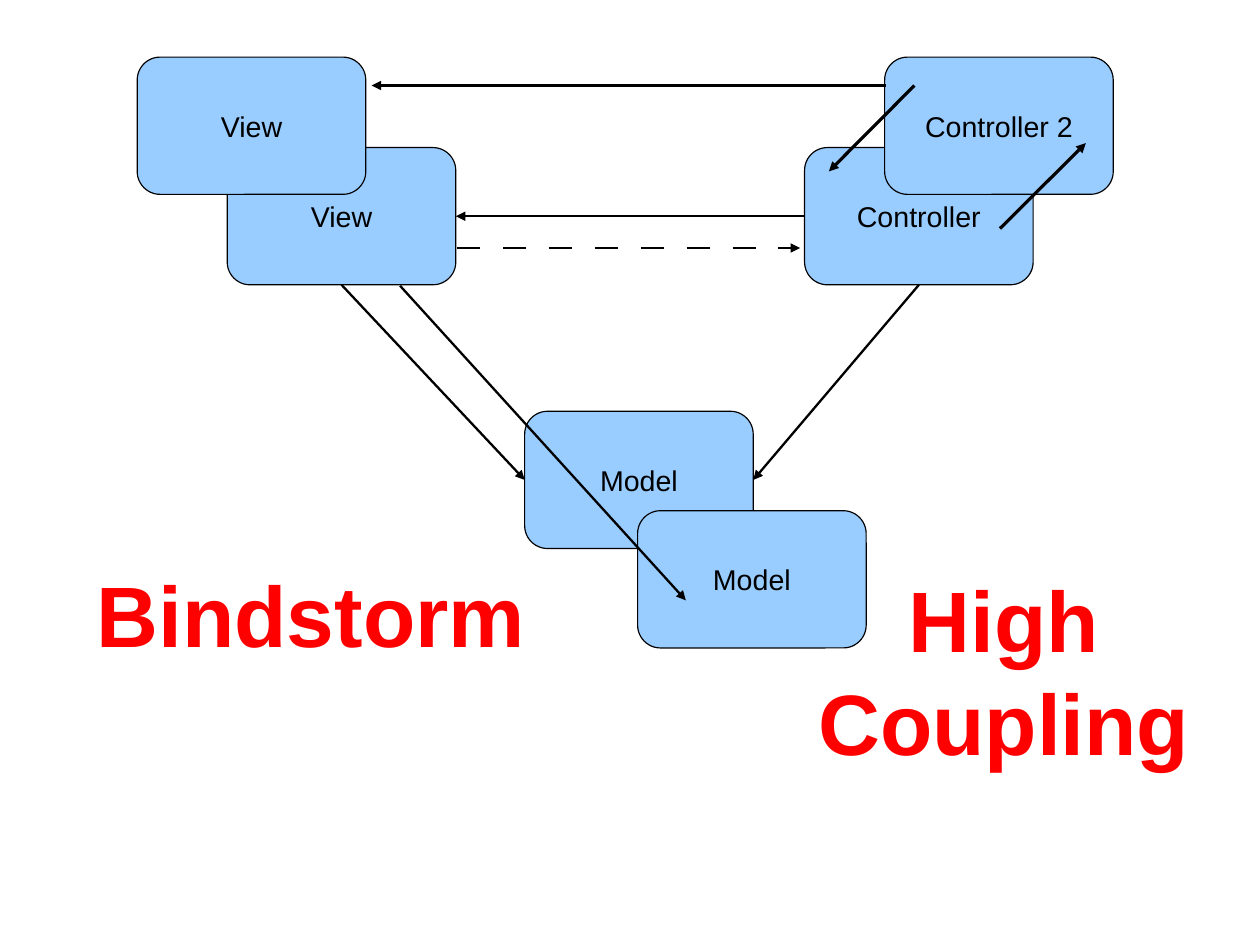
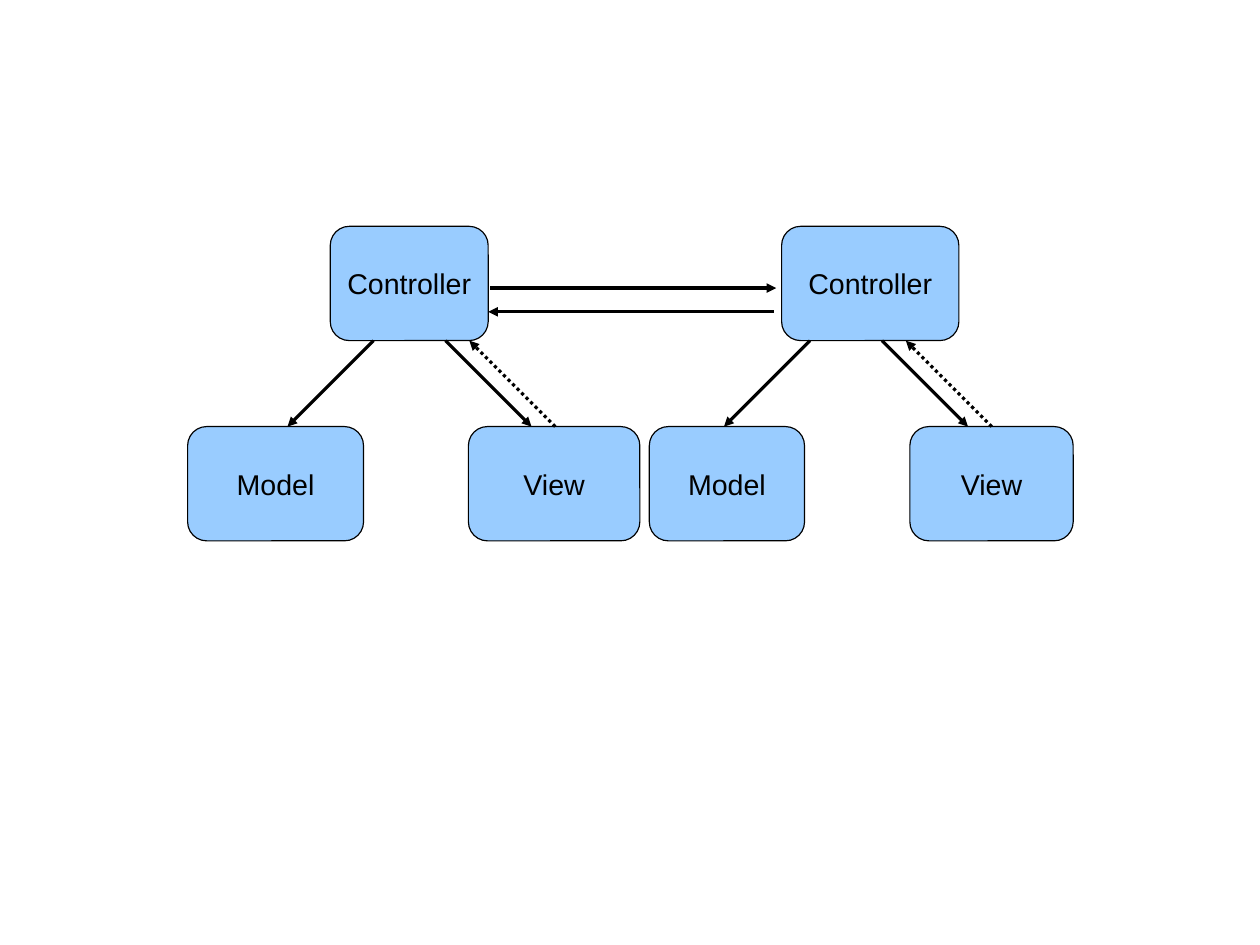
from lxml import etree
from pptx import Presentation
from pptx import util as u
from pptx.dml.color import RGBColor
from pptx.enum import dml, shapes, text
from pptx.oxml import ns

COLORS = {"box": "99CCFF", "ink": "000000", "alert": "FF0000"}
FONT = "Arial"
THIN, THICK = 0, 1.45
TOP, LEFT, BOTTOM, RIGHT = range(4)


def color(name):
    return RGBColor.from_string(COLORS[name])


class Deck:
    def __init__(self, width, height):
        self.prs = Presentation()
        self.prs.slide_width, self.prs.slide_height = u.Cm(width), u.Cm(height)
        self.slide = None

    def new_slide(self):
        self.slide = self.prs.slides.add_slide(self.prs.slide_layouts[6])

    def set_text(self, frame, lines, size, ink, align, bold=False):
        frame.word_wrap = True
        frame.text = "\n".join(lines)
        for paragraph in frame.paragraphs:
            paragraph.alignment = align
            font = paragraph.font
            font.name, font.size, font.bold = FONT, u.Pt(size), bold
            font.color.rgb = color(ink)

    def box(self, label, left, top, width=5.08, height=3.05):
        box = self.slide.shapes.add_shape(
            shapes.MSO_SHAPE.ROUNDED_RECTANGLE,
            u.Cm(left), u.Cm(top), u.Cm(width), u.Cm(height))
        box.shadow.inherit = False
        box.fill.solid()
        box.fill.fore_color.rgb = color("box")
        box.line.color.rgb = color("ink")
        box.line.width = u.Pt(THIN)
        box.text_frame.vertical_anchor = text.MSO_ANCHOR.MIDDLE
        self.set_text(box.text_frame, [label], 18, "ink", text.PP_ALIGN.CENTER)
        return box

    def slogan(self, lines, left, top, width, height, align):
        slogan = self.slide.shapes.add_textbox(
            u.Cm(left), u.Cm(top), u.Cm(width), u.Cm(height))
        self.set_text(slogan.text_frame, lines, 54, "alert", align, bold=True)
        slogan.text_frame.auto_size = text.MSO_AUTO_SIZE.SHAPE_TO_FIT_TEXT

    def arrow(self, start, end, weight=THIN, dotted=False, dashed=False):
        arrow = self.slide.shapes.add_connector(
            shapes.MSO_CONNECTOR.STRAIGHT,
            *(u.Cm(value) for value in (*start, *end)))
        self.style_arrow(arrow, weight, dotted, dashed)

    def link(self, source, source_side, target, target_side):
        link = self.slide.shapes.add_connector(
            shapes.MSO_CONNECTOR.STRAIGHT, 0, 0, 0, 0)
        link.begin_connect(source, source_side)
        link.end_connect(target, target_side)
        self.style_arrow(link, THICK)

    def style_arrow(self, arrow, weight, dotted=False, dashed=False):
        arrow.line.color.rgb = color("ink")
        arrow.line.width = u.Pt(weight)
        if dotted:
            arrow.line.dash_style = dml.MSO_LINE.ROUND_DOT
        line = arrow._element.spPr.find(ns.qn("a:ln"))
        if dashed:
            pattern = etree.SubElement(line, ns.qn("a:custDash"))
            etree.SubElement(pattern, ns.qn("a:ds"), d="1000000", sp="1000000")
        etree.SubElement(line, ns.qn("a:tailEnd"), type="triangle")
        etree.SubElement(arrow._element.spPr, ns.qn("a:effectLst"))

    def triad(self, controller, model, view, fan_left):
        top, middle, bottom, height = 5.03, 7.57, 9.48, 2.54
        rise = bottom - middle
        self.box("Model", model[0], bottom, model[1], height)
        self.box("View", view[0], bottom, view[1], height)
        self.box("Controller", controller[0], top, controller[1], height)
        to_model, to_view, from_view = (fan_left + step for step in (1.9, 3.5, 5.94))
        self.arrow((to_model, middle), (to_model - rise, bottom))
        self.arrow((to_view, middle), (to_view + rise, bottom))
        self.arrow((from_view, bottom), (from_view - rise, middle), dotted=True)


def build_bindstorm(deck):
    deck.new_slide()
    model = deck.box("Model", 11.66, 9.14)
    view = deck.box("View", 5.05, 3.28)
    controller = deck.box("Controller", 17.88, 3.28)
    deck.link(controller, LEFT, view, RIGHT)
    deck.link(view, BOTTOM, model, LEFT)
    deck.link(controller, BOTTOM, model, RIGHT)
    deck.arrow((10.16, 5.51), (17.78, 5.51), THICK, dashed=True)
    deck.box("Controller 2", 19.66, 1.27)
    deck.arrow((20.32, 1.9), (18.42, 3.81))
    deck.arrow((22.22, 5.08), (24.13, 3.18))
    deck.box("Model", 14.17, 11.35)
    deck.arrow((8.89, 6.35), (15.24, 13.34), THICK)
    deck.box("View", 3.05, 1.27)
    deck.arrow((19.68, 1.9), (8.26, 1.9), THICK)
    deck.slogan(["Bindstorm"], 1.9, 12.37, 11.43, 2.39, text.PP_ALIGN.LEFT)
    deck.slogan(["High", "Coupling"], 16.62, 12.47, 11.38, 4.5, text.PP_ALIGN.CENTER)


def build_triads(deck):
    deck.new_slide()
    deck.triad(controller=(7.34, 3.51), model=(4.17, 3.91), view=(10.41, 3.81),
               fan_left=6.4)
    deck.triad(controller=(17.37, 3.94), model=(14.43, 3.45), view=(20.22, 3.63),
               fan_left=16.1)
    deck.arrow((10.9, 6.4), (17.25, 6.4))
    deck.arrow((17.2, 6.93), (10.85, 6.93))


def main():
    deck = Deck(28, 21)
    build_bindstorm(deck)
    build_triads(deck)
    deck.prs.save("out.pptx")


if __name__ == "__main__":
    main()
